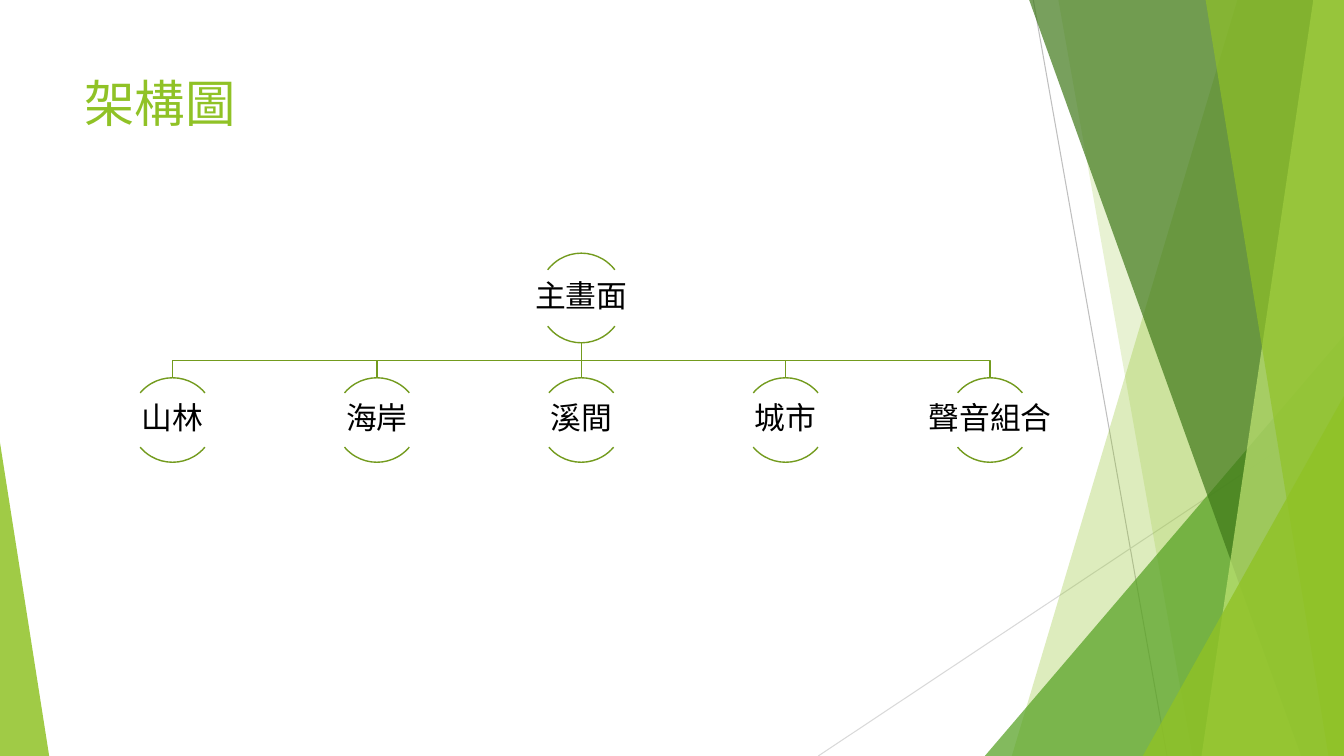
from dataclasses import dataclass

from lxml import etree
from pptx import Presentation
from pptx.dml.color import RGBColor
from pptx.enum.shapes import MSO_CONNECTOR, MSO_SHAPE
from pptx.enum.text import MSO_ANCHOR, PP_ALIGN
from pptx.oxml.ns import qn
from pptx.util import Cm, Pt

STRAIGHT = MSO_CONNECTOR.STRAIGHT
TRIANGLE, ARC = MSO_SHAPE.RIGHT_TRIANGLE, MSO_SHAPE.ARC
TRIANGLE = MSO_SHAPE.ISOSCELES_TRIANGLE
TOP, MIDDLE = MSO_ANCHOR.TOP, MSO_ANCHOR.MIDDLE
LEFT, CENTER = PP_ALIGN.LEFT, PP_ALIGN.CENTER


@dataclass(frozen=True)
class Theme:
    font: str = "Roboto"
    lime: str = "90C226"
    pale_lime: str = "C0E474"
    green: str = "54A021"
    dark_green: str = "3F7819"
    branch: str = "739B1E"
    grey: str = "BFBFBF"
    light_grey: str = "D9D9D9"
    text: str = "000000"
    title_size: float = 36
    node_size: float = 22
    branch_width: float = 1
    hairline: float = 0.75


theme = Theme()
WIDTH, HEIGHT = 33.87, 19.05

prs = Presentation()
prs.slide_width, prs.slide_height = Cm(WIDTH), Cm(HEIGHT)
slide = prs.slides.add_slide(prs.slide_layouts[6])
shapes = slide.shapes


def add_line(x1, y1, x2, y2, color, width):
    line = shapes.add_connector(STRAIGHT, Cm(x1), Cm(y1), Cm(x2), Cm(y2))
    line.line.color.rgb = RGBColor.from_string(color)
    line.line.width = Pt(width)
    etree.SubElement(line._element.spPr, qn("a:effectLst"))


def add_label(text, box, size, color, align, anchor, insets):
    frame = shapes.add_textbox(*map(Cm, box)).text_frame
    frame.word_wrap = True
    frame.vertical_anchor = anchor
    frame.margin_left = frame.margin_right = Cm(insets[0])
    frame.margin_top = frame.margin_bottom = Cm(insets[1])
    frame.text = text
    paragraph = frame.paragraphs[0]
    paragraph.alignment = align
    font = paragraph.runs[0].font
    font.size = Pt(size)
    font.color.rgb = RGBColor.from_string(color)
    font.name = theme.font
    etree.SubElement(font._element, qn("a:ea")).set("typeface", theme.font)
    return paragraph


# Thin lines behind the facets
add_line(26.04, 0, 29.41, HEIGHT, theme.grey, theme.hairline)
add_line(WIDTH, 10.24, 20.62, HEIGHT, theme.light_grey, theme.hairline)

# Facets, back to front: a band gives its left edge at top and bottom,
# a triangle gives left, top, width and apex position
facets = [
    ((31.19, 25.5), theme.lime, 30),
    ((26.67, 30.05), theme.lime, 20),
    ((24.82, 8.46, 9.05, 1), theme.green, 72),
    ((25.93, 32.79), theme.dark_green, 70),
    ((33.1, 30.28), theme.pale_lime, 70),
    ((30.38, 33.48), theme.lime, 65),
    ((28.8, 9.98, 5.07, 1), theme.lime, 80),
    ((0, 11.15, 1.24, 0), theme.lime, 85),
]
for outline, color, opacity in facets:
    if len(outline) == 2:
        top_x, bottom_x = outline
        band = shapes.build_freeform(Cm(top_x), Cm(-0.02))
        corners = [(WIDTH, -0.02), (WIDTH, HEIGHT), (bottom_x, HEIGHT)]
        band.add_line_segments([(Cm(x), Cm(y)) for x, y in corners], close=True)
        facet = band.convert_to_shape()
    else:
        left, top, width, apex = outline
        facet = shapes.add_shape(TRIANGLE, Cm(left), Cm(top), Cm(width), Cm(HEIGHT - top))
        facet.adjustments[0] = apex
    facet.shadow.inherit = False
    facet.line.fill.background()
    facet.fill.solid()
    facet.fill.fore_color.rgb = RGBColor.from_string(color)
    tint = facet._element.spPr.find(".//" + qn("a:srgbClr"))
    etree.SubElement(tint, qn("a:alpha")).set("val", str(opacity * 1000))

# Title
add_label("架構圖", (1.88, 1.7, 23.88, 3.66), theme.title_size, theme.lime,
          LEFT, TOP, (0.25, 0.13))

# Tree layout
scenes = ["山林", "海岸", "溪間", "城市", "聲音組合"]
FIRST_X, STEP = 4.35, 5.15
ROOT_TOP, ROOT_BOTTOM, BAR_Y, SCENE_TOP = 6.38, 8.64, 9.08, 9.52
scene_xs = [FIRST_X + STEP * i for i in range(len(scenes))]
root_x = scene_xs[len(scenes) // 2]

# Branches from the main screen to each scene
for scene_x in reversed(scene_xs):
    if scene_x == root_x:
        add_line(root_x, ROOT_BOTTOM, root_x, SCENE_TOP, theme.branch, theme.branch_width)
        continue
    elbow = shapes.build_freeform(Cm(root_x), Cm(ROOT_BOTTOM))
    bends = [(root_x, BAR_Y), (scene_x, BAR_Y), (scene_x, SCENE_TOP)]
    elbow.add_line_segments([(Cm(x), Cm(y)) for x, y in bends], close=False)
    branch = elbow.convert_to_shape()
    branch.shadow.inherit = False
    branch.fill.background()
    branch.line.color.rgb = RGBColor.from_string(theme.branch)
    branch.line.width = Pt(theme.branch_width)

# Nodes: an arc above and below each name
nodes = [("主畫面", root_x, ROOT_TOP, 2.18, 2.26, 4.37, 1.45)]
nodes += [(name, x, SCENE_TOP, 2.13, 2.13, 4.27, 1.37) for name, x in zip(scenes, scene_xs)]
for name, x, top, width, height, name_width, name_height in nodes:
    for start, end in [(132, 192), (24, 84)]:
        arc = shapes.add_shape(ARC, Cm(x - width / 2), Cm(top), Cm(width), Cm(height))
        arc.adjustments[0], arc.adjustments[1] = start, end
        arc.shadow.inherit = False
        arc.fill.background()
        arc.line.color.rgb = RGBColor.from_string(theme.branch)
        arc.line.width = Pt(theme.branch_width)
    name_box = (x - name_width / 2, top + (height - name_height) / 2, name_width, name_height)
    label = add_label(name, name_box, theme.node_size, theme.text, CENTER, MIDDLE, (0.05, 0.05))
    label.line_spacing = 0.9

prs.save("out.pptx")
